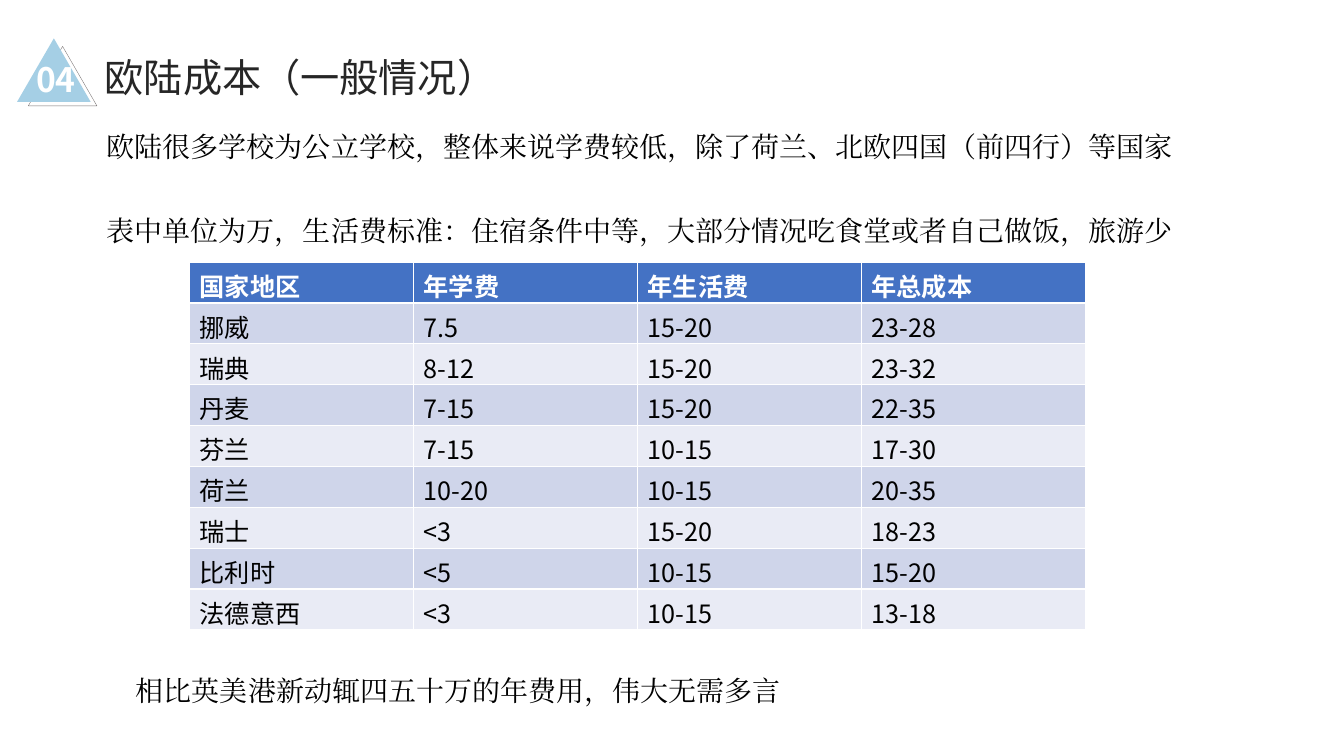
"""Build the slide on study costs in continental Europe."""
from dataclasses import dataclass
from typing import Optional

from lxml import etree
from pptx import Presentation
from pptx.dml.color import RGBColor
from pptx.enum import shapes, text
from pptx.oxml import ns
from pptx.util import Pt


@dataclass(frozen=True)
class Theme:
    sans: str = "Noto Sans CJK SC"
    serif: str = "Times New Roman"
    white: str = "FFFFFF"
    black: str = "000000"
    title: str = "262626"
    badge: str = "A5CFE5"
    outline: str = "767171"
    header: str = "4472C4"
    bands: tuple = ("CFD5EA", "E9EBF5")
    title_size: float = 28
    badge_size: float = 24
    body_size: float = 20
    table_size: float = 18


@dataclass(frozen=True)
class Box:
    left: float
    top: float
    width: float
    height: float

    def lengths(self) -> tuple:
        return tuple(Pt(v) for v in (self.left, self.top, self.width, self.height))


@dataclass(frozen=True)
class Style:
    font: str
    size: float
    color: str
    bold: bool = False


@dataclass(frozen=True)
class Triangle:
    box: Box
    fill: Optional[str] = None
    line: Optional[str] = None


@dataclass(frozen=True)
class Label:
    box: Box
    lines: tuple
    style: Style
    spacing: float = 1.0
    gap: float = 0
    tight: bool = False
    align: Optional[text.PP_ALIGN] = None


THEME = Theme()
BODY = Style(THEME.serif, THEME.body_size, THEME.black)
HEADER = Style(THEME.sans, THEME.table_size, THEME.white, True)
CELL = Style(THEME.sans, THEME.table_size, THEME.black)

TRIANGLES = (
    Triangle(Box(20.2, 33.1, 49, 42.5), line=THEME.outline),
    Triangle(Box(12.2, 27.4, 52.6, 45.4), fill=THEME.badge),
)
LABELS = (
    Label(Box(18.7, 38.2, 49, 36), ("04",),
          Style(THEME.sans, THEME.badge_size, THEME.white, True)),
    Label(Box(74.9, 36.7, 319, 36.7), ("欧陆成本（一般情况）",),
          Style(THEME.sans, THEME.title_size, THEME.title),
          tight=True, align=text.PP_ALIGN.JUSTIFY),
    Label(Box(69.1, 82.8, 798.5, 95),
          ("欧陆很多学校为公立学校，整体来说学费较低，除了荷兰、北欧四国（前四行）等国家",
           "表中单位为万，生活费标准：住宿条件中等，大部分情况吃食堂或者自己做饭，旅游少"),
          BODY, spacing=1.25, gap=30),
    Label(Box(90, 471.6, 480.2, 34.6),
          ("相比英美港新动辄四五十万的年费用，伟大无需多言",), BODY, spacing=1.25),
)
COSTS_BOX = Box(135.4, 187.2, 640, 262.8)
COSTS = (
    ("国家地区", "年学费", "年生活费", "年总成本"),
    ("挪威", "7.5", "15-20", "23-28"),
    ("瑞典", "8-12", "15-20", "23-32"),
    ("丹麦", "7-15", "15-20", "22-35"),
    ("芬兰", "7-15", "10-15", "17-30"),
    ("荷兰", "10-20", "10-15", "20-35"),
    ("瑞士", "<3", "15-20", "18-23"),
    ("比利时", "<5", "10-15", "15-20"),
    ("法德意西", "<3", "10-15", "13-18"),
)


def rgb(color: str) -> RGBColor:
    return RGBColor.from_string(color)


def style_paragraph(paragraph, style: Style) -> None:
    font = paragraph.font
    font.size, font.bold, font.name = Pt(style.size), style.bold, style.font
    font.color.rgb = rgb(style.color)
    defaults = paragraph._p.pPr.find(ns.qn("a:defRPr"))
    etree.SubElement(defaults, ns.qn("a:ea")).set("typeface", style.font)


def draw_triangle(slide, triangle: Triangle) -> None:
    shape = slide.shapes.add_shape(
        shapes.MSO_SHAPE.ISOSCELES_TRIANGLE, *triangle.box.lengths())
    shape.shadow.inherit = False
    if triangle.fill:
        shape.fill.solid()
        shape.fill.fore_color.rgb = rgb(triangle.fill)
    else:
        shape.fill.background()
    if triangle.line:
        shape.line.color.rgb = rgb(triangle.line)
        shape.line.width = Pt(0.25)
    else:
        shape.line.fill.background()


def draw_label(slide, label: Label) -> None:
    frame = slide.shapes.add_textbox(*label.box.lengths()).text_frame
    frame.word_wrap = True
    if label.tight:
        frame.margin_left = frame.margin_right = Pt(0)
        frame.margin_top = frame.margin_bottom = Pt(0)
        frame.vertical_anchor = text.MSO_ANCHOR.MIDDLE
    for index, line in enumerate(label.lines):
        paragraph = frame.add_paragraph() if index else frame.paragraphs[0]
        paragraph.text = line
        paragraph.line_spacing = label.spacing
        paragraph.alignment = label.align
        if index:
            paragraph.space_before = Pt(label.gap)
        style_paragraph(paragraph, label.style)


def draw_costs(slide, box: Box, costs: tuple) -> None:
    table = slide.shapes.add_table(len(costs), len(costs[0]), *box.lengths()).table
    for row, values in enumerate(costs):
        for column, value in enumerate(values):
            cell = table.cell(row, column)
            cell.text = value
            cell.fill.solid()
            cell.fill.fore_color.rgb = rgb(
                THEME.bands[(row - 1) % 2] if row else THEME.header)
            style_paragraph(cell.text_frame.paragraphs[0], CELL if row else HEADER)


def main() -> None:
    deck = Presentation()
    deck.slide_width, deck.slide_height = Pt(960), Pt(540)
    slide = deck.slides.add_slide(deck.slide_layouts[6])
    for triangle in TRIANGLES:
        draw_triangle(slide, triangle)
    for label in LABELS:
        draw_label(slide, label)
    draw_costs(slide, COSTS_BOX, COSTS)
    deck.save("out.pptx")


if __name__ == "__main__":
    main()
